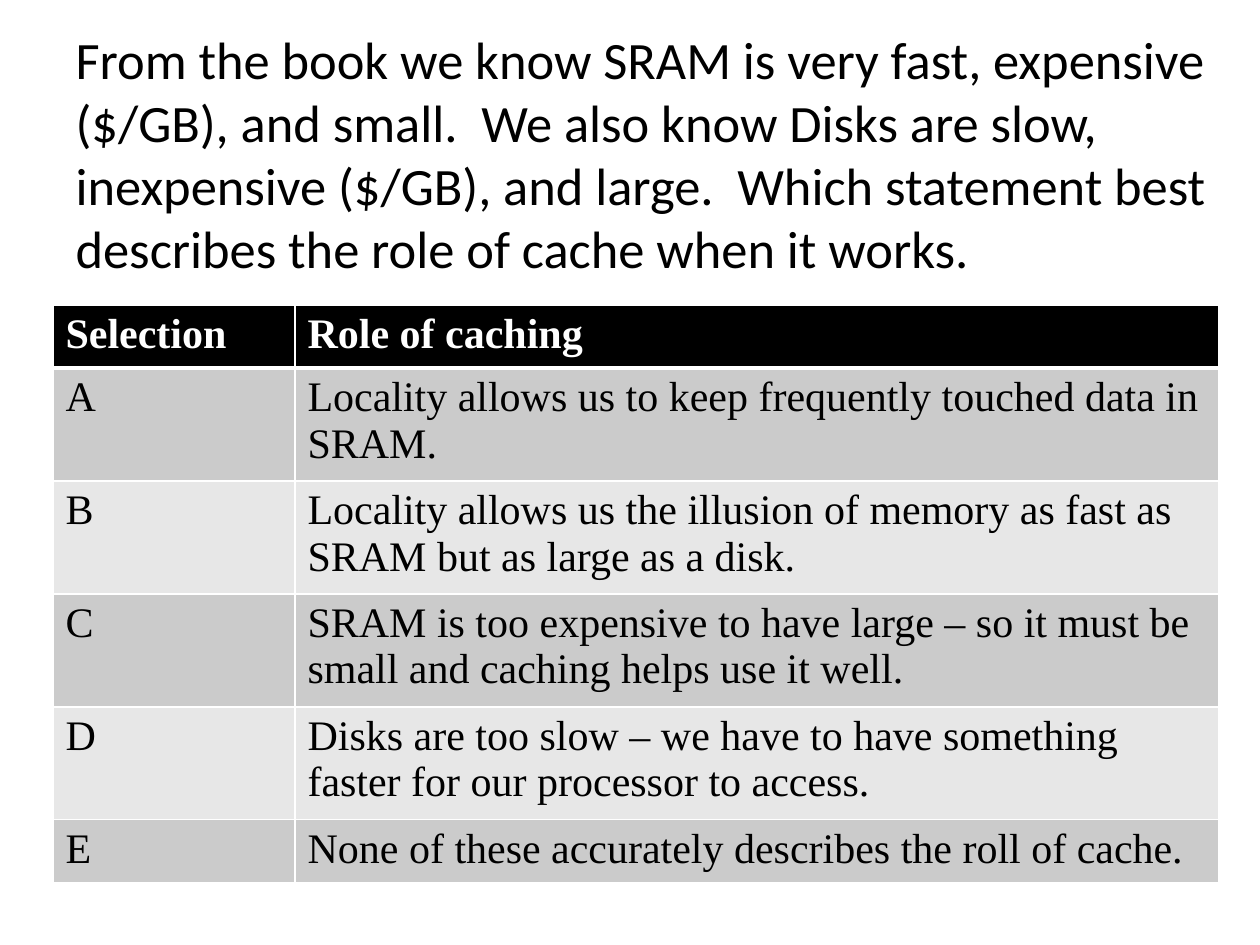
from dataclasses import dataclass

from pptx import Presentation
from pptx import util as u
from pptx.dml.color import RGBColor
from pptx.enum import text
from pptx.oxml import ns
from lxml import etree

PX = u.Inches(1) // 126
BLACK, WHITE = "000000", "FFFFFF"
BANDS = ("CBCBCB", "E7E7E7")
COLUMN_WIDTHS = (242, 924)
HEADER_RULE = 3
THIN_RULE = 1

QUESTION = (
    "From the book we know SRAM is very fast, expensive ($/GB), and small.  "
    "We also know Disks are slow, inexpensive ($/GB), and large.  "
    "Which statement best describes the role of cache when it works."
)


@dataclass(frozen=True)
class Row:
    selection: str
    role: str
    height: int


ROWS = (
    Row("Selection", "Role of caching", 63),
    Row("A", "Locality allows us to keep frequently touched data in SRAM.", 113),
    Row("B", "Locality allows us the illusion of memory as fast as SRAM but as large as a disk.", 113),
    Row("C", "SRAM is too expensive to have large – so it must be small and caching helps use it well.", 113),
    Row("D", "Disks are too slow – we have to have something faster for our processor to access.", 113),
    Row("E", "None of these accurately describes the roll of cache.", 63),
)


def px(length: int) -> u.Emu:
    return u.Emu(length * PX)


def color(value: str) -> RGBColor:
    return RGBColor.from_string(value)


def style_font(paragraph, name: str, size: int, fill: str, bold: bool = False) -> None:
    font = paragraph.font
    font.name, font.size, font.bold = name, u.Pt(size), bold
    font.color.rgb = color(fill)


def add_border(cell, side: str, width: int) -> None:
    properties = cell._tc.get_or_add_tcPr()
    line = etree.SubElement(properties, ns.qn(f"a:ln{side}"), w=str(u.Pt(width)))
    solid = etree.SubElement(line, ns.qn("a:solidFill"))
    etree.SubElement(solid, ns.qn("a:srgbClr"), val=WHITE)


def fill_cell(cell, content: str, row_index: int) -> None:
    header = row_index == 0
    top = HEADER_RULE if row_index == 1 else THIN_RULE
    bottom = HEADER_RULE if header else THIN_RULE
    for side, width in (("L", THIN_RULE), ("R", THIN_RULE), ("T", top), ("B", bottom)):
        add_border(cell, side, width)
    cell.fill.solid()
    cell.fill.fore_color.rgb = color(BLACK if header else BANDS[(row_index - 1) % 2])
    cell.text = content
    style_font(cell.text_frame.paragraphs[0], "Times New Roman", 24, WHITE if header else BLACK, header)


def add_question(slide) -> None:
    title = slide.shapes.title
    title.left, title.top, title.width, title.height = px(63), px(21), px(1176), px(336)
    frame = title.text_frame
    frame.text = QUESTION
    frame.word_wrap = True
    frame.auto_size = text.MSO_AUTO_SIZE.NONE
    frame.vertical_anchor = text.MSO_ANCHOR.TOP
    paragraph = frame.paragraphs[0]
    paragraph.alignment = text.PP_ALIGN.LEFT
    style_font(paragraph, "Calibri", 30, BLACK)


def add_answers(slide) -> None:
    height = sum(row.height for row in ROWS)
    table = slide.shapes.add_table(
        len(ROWS), len(COLUMN_WIDTHS), px(53), px(305), px(sum(COLUMN_WIDTHS)), px(height)
    ).table
    for column, width in zip(table.columns, COLUMN_WIDTHS):
        column.width = px(width)
    for index, row in enumerate(ROWS):
        table.rows[index].height = px(row.height)
        for column_index, content in enumerate((row.selection, row.role)):
            fill_cell(table.cell(index, column_index), content, index)


def main() -> None:
    presentation = Presentation()
    presentation.slide_width, presentation.slide_height = px(1260), px(945)
    slide = presentation.slides.add_slide(presentation.slide_layouts[5])
    add_question(slide)
    add_answers(slide)
    presentation.save("out.pptx")


if __name__ == "__main__":
    main()
